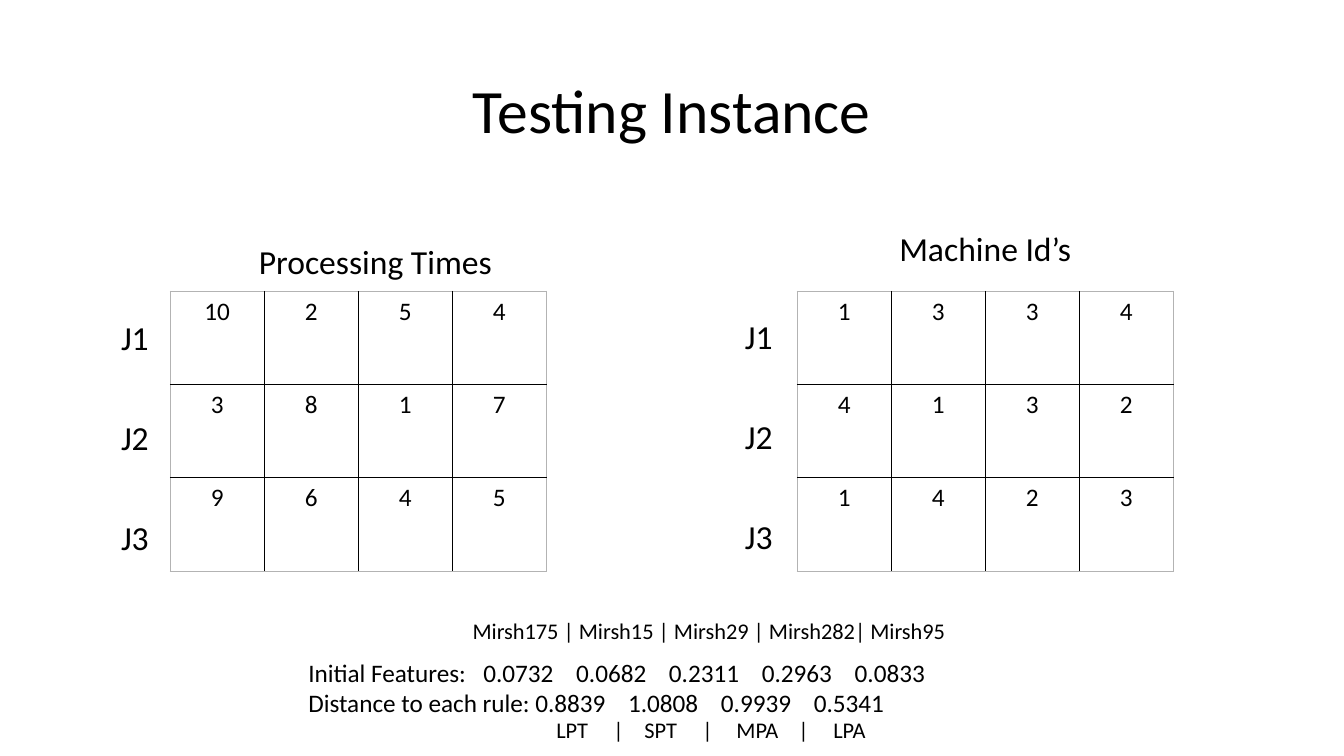
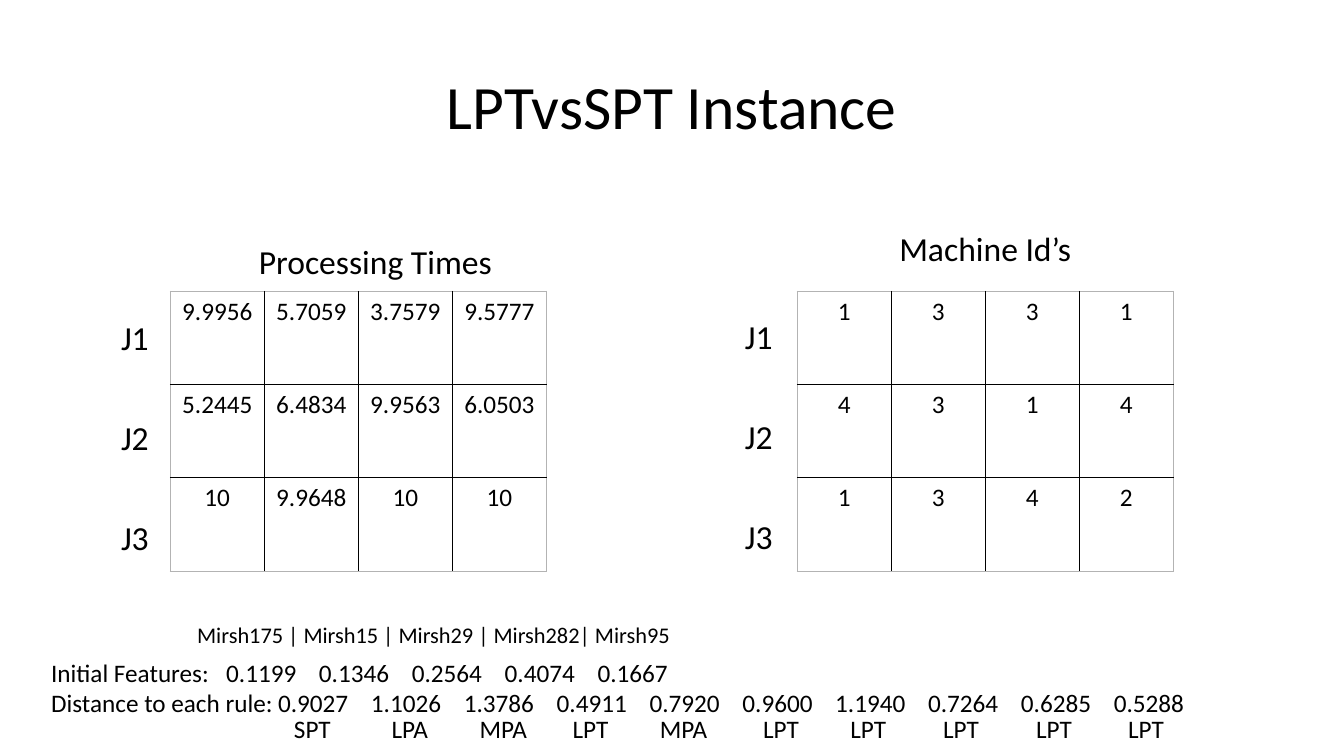
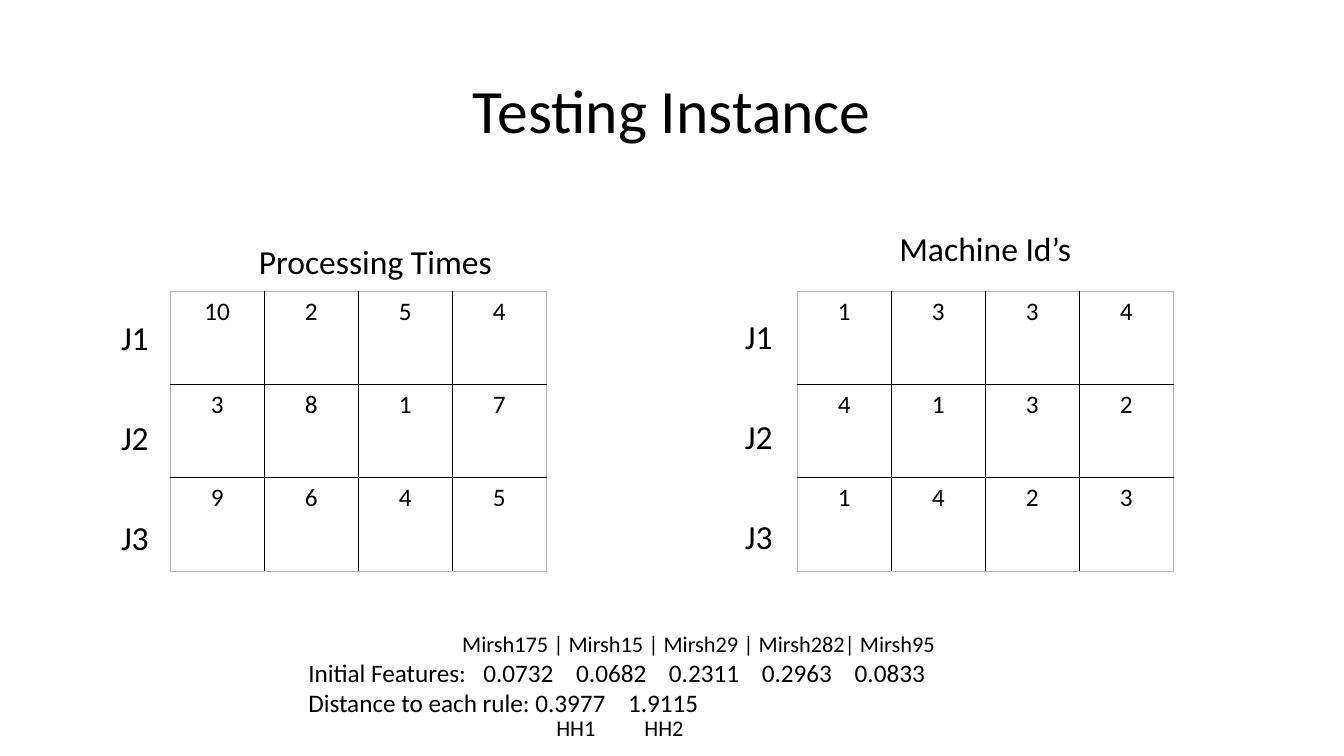
from dataclasses import dataclass

from pptx import Presentation
from pptx.dml.color import RGBColor
from pptx.enum.text import MSO_ANCHOR as Anchor, MSO_AUTO_SIZE as AutoSize, PP_ALIGN as Align
from pptx.oxml.ns import qn
from pptx.util import Cm, Pt
from lxml.etree import SubElement

# Shared look
COLORS = {"text": "000000", "grid": "000000", "frame": "B3B3B3"}
FONT = "Calibri"
COLUMN, ROW = 2.37, 2.35
TABLE_TOP = 7.34
VALUE_STEP = 2.34
FEATURES = "Mirsh175 | Mirsh15 | Mirsh29 | Mirsh282| Mirsh95"


@dataclass
class Matrix:
    """A table position with the places of its heading and job labels."""
    left: float
    heading: str
    heading_left: float
    heading_top: float
    job_left: float
    job_top: float


@dataclass
class Rules:
    """The line of rule names under the distances."""
    text: str
    left: float
    top: float
    width: float
    size: int
    tabs: list[float]
    spacing: float = 1.0


@dataclass
class Instance:
    title: str
    title_top: float
    times: list[str]
    machines: list[str]
    names_left: float
    names_top: float
    values_left: float
    values_width: float
    features: str
    distances: str
    rules: Rules


MATRICES = [
    Matrix(4.29, "Processing Times", 4.72, 5.94, 1.04, 7.85),
    Matrix(20.09, "Machine Id’s", 20.09, 5.61, 16.76, 7.83),
]

TEST_DATA = dict(
    title="Testing Instance", title_top=1.01,
    times=["10 2 5 4", "3 8 1 7", "9 6 4 5"],
    machines=["1 3 3 4", "4 1 3 2", "1 4 2 3"],
    values_left=7.52, values_width=16.94,
    features="0.0732 0.0682 0.2311 0.2963 0.0833",
)

INSTANCES = [
    Instance(
        **TEST_DATA, names_left=11.66, names_top=15.42,
        distances="0.8839 1.0808 0.9939 0.5341",
        rules=Rules("LPT | SPT | MPA | LPA", 13.77, 17.93, 10.39, 16,
                    [1.44, 2.22, 3.68, 4.54, 6.1, 6.98]),
    ),
    Instance(
        title="LPTvsSPT Instance", title_top=0.91,
        times=["9.9956 5.7059 3.7579 9.5777", "5.2445 6.4834 9.9563 6.0503",
               "10 9.9648 10 10"],
        machines=["1 3 3 1", "4 3 1 4", "1 3 4 2"],
        names_left=4.72, names_top=15.52, values_left=1.04, values_width=30.96,
        features="0.1199 0.1346 0.2564 0.4074 0.1667",
        distances="0.9027 1.1026 1.3786 0.4911 0.7920 0.9600 1.1940 0.7264 0.6285 0.5288",
        rules=Rules("SPT LPA MPA LPT MPA LPT LPT LPT LPT LPT", 7.16, 17.93, 26.6, 18,
                    [2.46, 4.68, 7.02, 9.22, 11.82, 14.02, 16.36, 18.7, 21.02], 0.9),
    ),
    Instance(
        **TEST_DATA, names_left=11.4, names_top=15.75,
        distances="0.3977 1.9115",
        rules=Rules("HH1 HH2", 13.77, 17.88, 3.81, 16, [2.22]),
    ),
]


def write(para, text: str, *, size: int, align=Align.LEFT, spacing: float = 1.0,
          tabs: list[float] | None = None) -> None:
    """Fill a paragraph with one formatted span."""
    para.alignment = align
    para.line_spacing = spacing
    if tabs:
        stops = SubElement(para._p.get_or_add_pPr(), qn("a:tabLst"))
        for tab in tabs:
            SubElement(stops, qn("a:tab"), pos=str(int(Cm(tab))), algn="l")
    span = para.add_run()
    span.text = text
    span.font.name = FONT
    span.font.size = Pt(size)
    span.font.color.rgb = RGBColor.from_string(COLORS["text"])


def add_box(page, left: float, top: float, width: float, height: float):
    """Add an empty wrapping text box and return its text frame."""
    box = page.shapes.add_textbox(Cm(left), Cm(top), Cm(width), Cm(height))
    box.text_frame.word_wrap = True
    return box.text_frame


def add_title(page, text: str, top: float) -> None:
    title = page.shapes.title
    title.left, title.top, title.width, title.height = Cm(2.33), Cm(top), Cm(29.21), Cm(3.68)
    frame = title.text_frame
    frame.vertical_anchor = Anchor.MIDDLE
    frame.auto_size = AutoSize.NONE
    write(frame.paragraphs[0], text, size=44, align=Align.CENTER, spacing=0.9)


def set_borders(cell, outer: dict[str, bool]) -> None:
    """Draw a pale line on the table's frame and a black one inside."""
    properties = cell._tc.get_or_add_tcPr()
    for side, is_outer in outer.items():
        line = SubElement(properties, qn(f"a:ln{side}"), w=str(int(Pt(0.5 if is_outer else 1))))
        fill = SubElement(line, qn("a:solidFill"))
        SubElement(fill, qn("a:srgbClr"), val=COLORS["frame" if is_outer else "grid"])


def add_matrix(page, matrix: Matrix, lines: list[str]) -> None:
    rows = [line.split() for line in lines]
    height, width = len(rows), len(rows[0])
    table = page.shapes.add_table(height, width, Cm(matrix.left), Cm(TABLE_TOP),
                                  Cm(width * COLUMN), Cm(height * ROW)).table
    table.first_row = table.horz_banding = False
    for column in table.columns:
        column.width = Cm(COLUMN)
    for r, row in enumerate(rows):
        table.rows[r].height = Cm(ROW)
        for c, value in enumerate(row):
            cell = table.cell(r, c)
            set_borders(cell, {"L": c == 0, "R": c == width - 1,
                               "T": r == 0, "B": r == height - 1})
            cell.fill.background()
            write(cell.text_frame.paragraphs[0], value, size=18, align=Align.CENTER)

    # Heading and job labels
    heading = add_box(page, matrix.heading_left, matrix.heading_top, width * COLUMN, 1.27)
    write(heading.paragraphs[0], matrix.heading, size=24, align=Align.CENTER)
    for r in range(height):
        job = add_box(page, matrix.job_left, matrix.job_top + r * 2.52, 4.72, 1.27)
        write(job.paragraphs[0], f"J{r + 1}", size=24, align=Align.CENTER)


def add_values(para, label: str, values: str, first_tab: float) -> None:
    """Write a label and its values on evenly spaced tab stops."""
    items = values.split()
    write(para, "\t".join([label, *items]), size=18,
          tabs=[first_tab + i * VALUE_STEP for i in range(len(items))])


def add_instance(deck, instance: Instance) -> None:
    page = deck.slides.add_slide(deck.slide_layouts[5])
    add_title(page, instance.title, instance.title_top)
    for matrix, lines in zip(MATRICES, (instance.times, instance.machines)):
        add_matrix(page, matrix, lines)

    # Features and distances
    values = add_box(page, instance.values_left, 16.43, instance.values_width, 1.8)
    add_values(values.paragraphs[0], "Initial Features:", instance.features, 4.41)
    add_values(values.add_paragraph(), "Distance to each rule:", instance.distances, 5.72)

    # Names below and above the values
    rules = instance.rules
    names = add_box(page, rules.left, rules.top, rules.width, 0.94)
    write(names.paragraphs[0], "\t".join(rules.text.split()), size=rules.size,
          spacing=rules.spacing, tabs=rules.tabs)
    names = add_box(page, instance.names_left, instance.names_top, 14.6, 0.94)
    write(names.paragraphs[0], FEATURES, size=16)


def main() -> None:
    deck = Presentation()
    deck.slide_width, deck.slide_height = Cm(33.87), Cm(19.05)
    for instance in INSTANCES:
        add_instance(deck, instance)
    deck.save("out.pptx")


if __name__ == "__main__":
    main()
